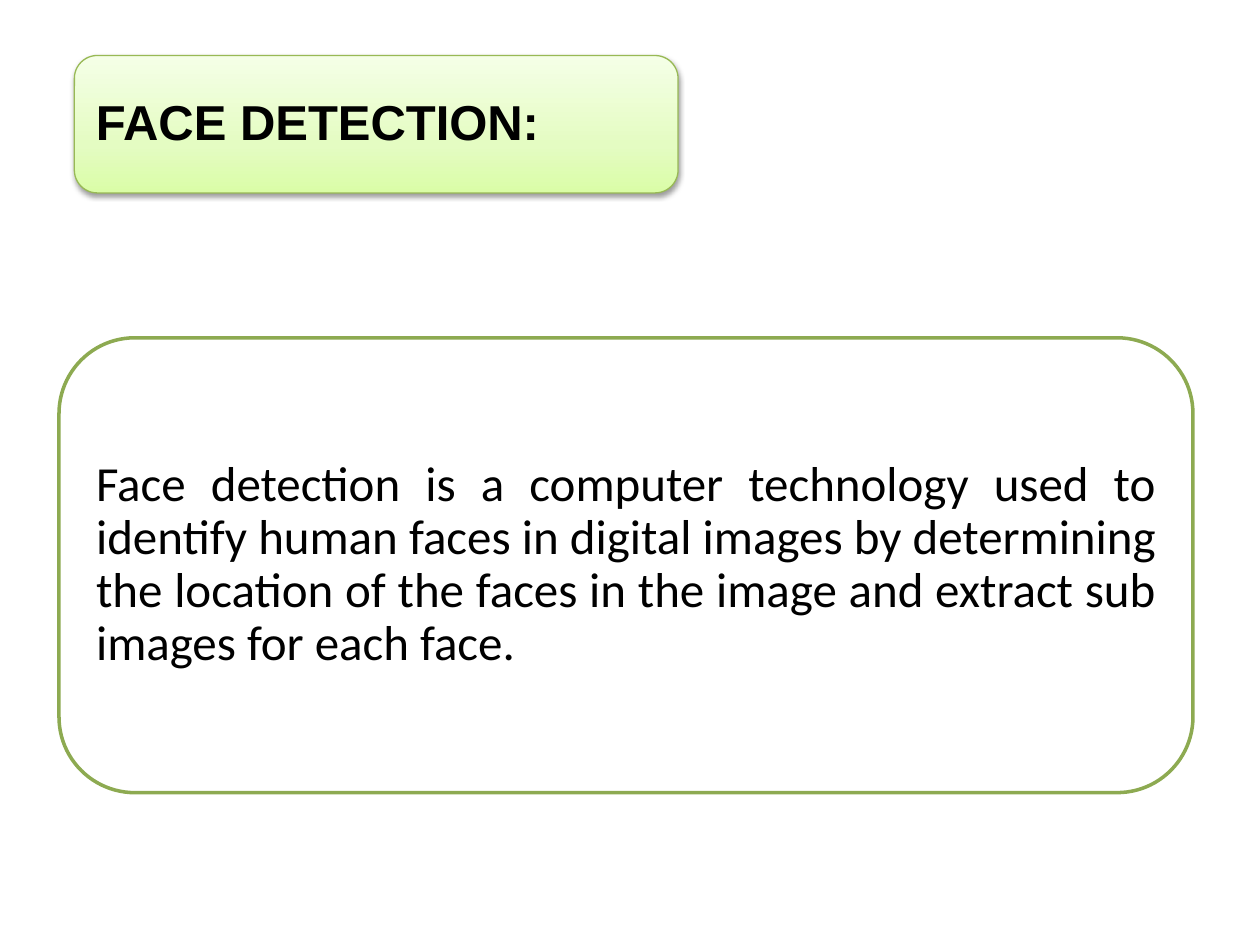
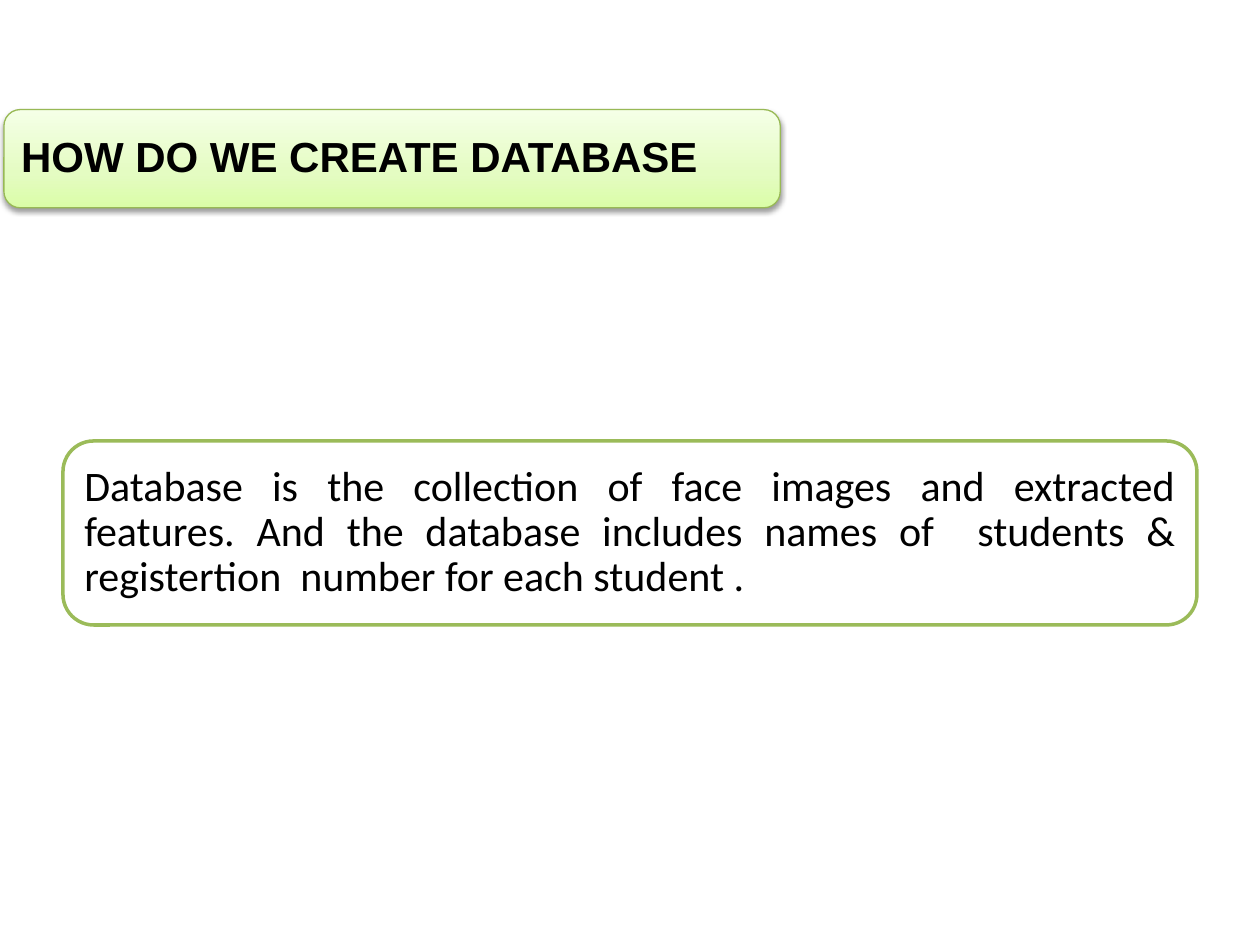
from lxml.etree import SubElement
from pptx import Presentation
from pptx.dml.color import RGBColor
from pptx.enum.shapes import MSO_SHAPE as Preset
from pptx.enum.text import MSO_ANCHOR as Anchor, MSO_AUTO_SIZE as AutoSize, PP_ALIGN as Align
from pptx.oxml.ns import qn
from pptx.util import Cm, Pt

# Boxes are left, top, width, height in cm.
SLIDES = [
    {
        "title": "FACE DETECTION:",
        "title_box": (1.5, 1.12, 12.17, 2.77),
        "body": "Face detection is a computer technology used to identify human faces in "
                "digital images by determining the location of the faces in the image and "
                "extract sub images for each face.",
        "body_box": (1.19, 6.81, 22.86, 9.17),
        "body_line": "8DAA51",
        "size": 28,
        "margin": 0.3,
    },
    {
        "title": "HOW DO WE CREATE DATABASE",
        "title_box": (0.08, 2.21, 15.65, 1.98),
        "body": "Database is the collection of face images and extracted features. And the "
                "database includes names of  students & registertion  number for each student .",
        "body_box": (1.27, 8.89, 22.86, 3.71),
        "body_line": "9BBB59",
        "size": 24,
        "margin": 0.25,
    },
]

TITLE_FONT, BODY_FONT = "Arial", "Calibri"
TEXT, PAPER, BAND_LINE, SHADOW = "000000", "FFFFFF", "98B955", "000000"
BAND_STOPS = [(0, "DAFDA7"), (35, "E4FCC2"), (100, "F5FFE7")]
CORNER = 1 / 6
TEXT_INSET = 0.29 * CORNER  # share of the height lost to a rounded corner


def color(value):
    return RGBColor.from_string(value)


def add_rounded(slide, box, line, width):
    shape = slide.shapes.add_shape(Preset.ROUNDED_RECTANGLE, *map(Cm, box))
    shape.adjustments[0] = CORNER
    shape.shadow.inherit = False
    shape.line.color.rgb = color(line)
    shape.line.width = Pt(width)
    return shape


def fill_band(band):
    """Give the band its three-stop gradient, pale at the top, and a soft shadow below."""
    band.fill.gradient()
    band.fill.gradient_angle = 90
    properties = band._element.spPr
    stops = properties.find(f"{qn('a:gradFill')}/{qn('a:gsLst')}")
    for stop in list(stops):
        stops.remove(stop)
    for position, value in BAND_STOPS:
        stop = SubElement(stops, qn("a:gs"), pos=str(position * 1000))
        SubElement(stop, qn("a:srgbClr"), val=value)

    shadow = SubElement(
        properties.find(qn("a:effectLst")), qn("a:outerShdw"),
        blurRad=str(Pt(3.1)), dist=str(Pt(1.6)), dir="5400000", rotWithShape="0")
    shade = SubElement(shadow, qn("a:srgbClr"), val=SHADOW)
    SubElement(shade, qn("a:alpha"), val="38000")


def write(shape, text, font, size, margin, align, bold=False):
    frame = shape.text_frame
    frame.word_wrap = True
    frame.auto_size = AutoSize.NONE
    frame.vertical_anchor = Anchor.MIDDLE
    frame.margin_left = frame.margin_right = Cm(margin)
    frame.margin_top = frame.margin_bottom = Cm(margin)
    para = frame.paragraphs[0]
    para.alignment = align
    para.line_spacing = 0.9
    span = para.add_run()
    span.text = text
    span.font.name = font
    span.font.size = Pt(size)
    span.font.bold = bold
    span.font.color.rgb = color(TEXT)


def add_title(slide, content):
    left, top, width, height = content["title_box"]
    band = add_rounded(slide, content["title_box"], BAND_LINE, 0.75)
    fill_band(band)

    title = slide.shapes.title
    inset = TEXT_INSET * height
    title.left, title.top = Cm(left + inset), Cm(top + inset)
    title.width, title.height = Cm(width - 2 * inset), Cm(height - 2 * inset)
    write(title, content["title"], TITLE_FONT, content["size"], content["margin"],
          Align.LEFT, bold=True)
    band._element.addnext(title._element)  # title in front of its band


def add_body(slide, content):
    panel = add_rounded(slide, content["body_box"], content["body_line"], 2)
    panel.fill.solid()
    panel.fill.fore_color.rgb = color(PAPER)
    write(panel, content["body"], BODY_FONT, content["size"], content["margin"], Align.JUSTIFY)


def main():
    deck = Presentation()
    deck.slide_width, deck.slide_height = Cm(25.4), Cm(19.05)
    title_only = deck.slide_layouts[5]
    for content in SLIDES:
        slide = deck.slides.add_slide(title_only)
        add_title(slide, content)
        add_body(slide, content)
    deck.save("out.pptx")


if __name__ == "__main__":
    main()
